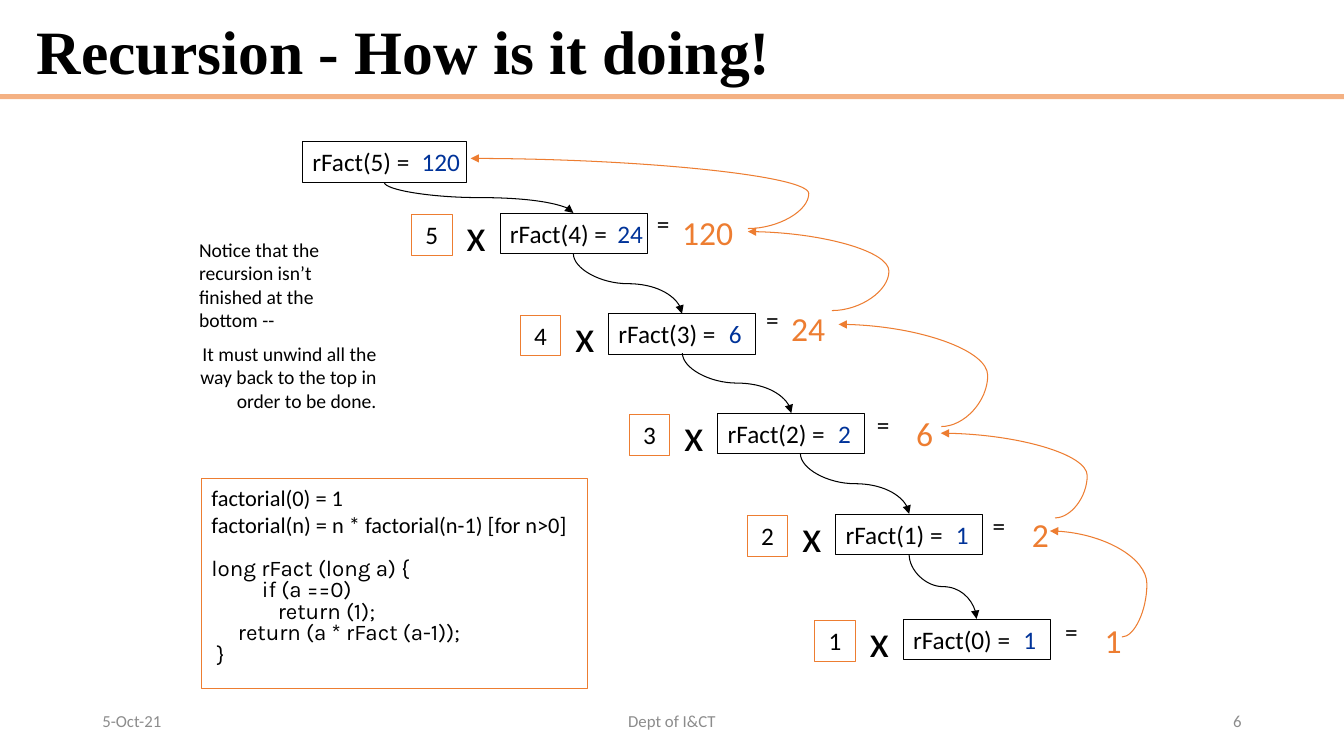
"""Build the slide that traces a recursive factorial down and back up."""
from collections import namedtuple
from dataclasses import dataclass

from lxml import etree
from pptx import Presentation
from pptx import util as u
from pptx.dml.color import RGBColor
from pptx.enum import shapes, text
from pptx.oxml.ns import qn

LEFT, CENTER, RIGHT = text.PP_ALIGN.LEFT, text.PP_ALIGN.CENTER, text.PP_ALIGN.RIGHT
TOP, MIDDLE = text.MSO_ANCHOR.TOP, text.MSO_ANCHOR.MIDDLE


@dataclass(frozen=True)
class Theme:
    ink: str = "000000"
    accent: str = "ED7D31"
    rule: str = "F4B183"
    value: str = "003399"
    muted: str = "8C8C8C"
    body_font: str = "Calibri"
    code_font: str = "Karla"
    title_font: str = "Times New Roman"
    title: float = 44
    times: float = 32
    result: float = 24
    label: float = 18
    code: float = 16
    note: float = 14
    footer: float = 12
    thin: float = 0.5
    line: float = 0.75


Call = namedtuple(
    "Call", "n factor value result left top equals_left equals_top result_left result_width")

CALLS = [
    Call(4, "5", "24", "120", 357.1, 152.1, 462.2, 144.9, 480.2, 54),
    Call(3, "4", "6", "24", 434.7, 224.1, 540.2, 213.8, 558, 41),
    Call(2, "3", "2", "6", 512.7, 295.1, 619.2, 288.7, 647.3, 31),
    Call(1, "2", "1", "2", 596.9, 367.1, 702, 360.7, 730.1, 31),
    Call(0, "1", "1", "1", 645.1, 442.1, 753.8, 436.5, 781.9, 31),
]
DESCENT_STARTS = [(274.5, 130.2), (409.6, 181.2), (487.4, 252.2), (571.7, 324), (649.4, 396)]
RETURNS = [
    (534.2, 163.3, 336.2, 113.2, 577.7),
    (594.2, 221.9, 534.2, 165.5, 635),
    (672.4, 304.7, 599, 231.7, 705.6),
    (753.6, 370, 672, 309.5, 776.6),
    (801.4, 455, 750, 379.3, 819.3),
]
FORMULAS = ["factorial(0) = 1", "factorial(n) = n * factorial(n-1) [for n>0]"]
CODE = [
    "long rFact (long a) {",
    "\tif (a ==0)",
    "\t   return (1);",
    "     return (a * rFact (a-1));",
    " }",
]
NOTES = [
    "Notice that the recursion isn’t finished at the bottom --",
    "It must unwind all the way back to the top in order to be done.",
]


class Page:
    """Draw styled elements on one slide, with lengths in points."""

    def __init__(self, slide, theme):
        self.shapes = slide.shapes
        self.theme = theme

    def fill_text(self, box, lines, size, color, align=LEFT, anchor=TOP, font=None, bold=False):
        frame = box.text_frame
        frame.word_wrap = True
        frame.vertical_anchor = anchor
        frame.text = "\n".join(lines)
        for para in frame.paragraphs:
            para.alignment = align
            for span in para.runs:
                span.font.size = u.Pt(size)
                span.font.name = font or self.theme.body_font
                span.font.bold = bold
                span.font.color.rgb = RGBColor.from_string(color)
        return frame.paragraphs

    def label(self, place, words, size, color, **style):
        box = self.shapes.add_textbox(*map(u.Pt, place))
        return self.fill_text(box, [words], size, color, **style)

    def bar(self, place, color):
        bar = self.shapes.add_shape(shapes.MSO_SHAPE.RECTANGLE, *map(u.Pt, place))
        bar.shadow.inherit = False
        bar.fill.solid()
        bar.fill.fore_color.rgb = RGBColor.from_string(color)
        bar.line.fill.background()

    def frame(self, place, lines, size, outline, width, align=LEFT):
        box = self.shapes.add_shape(shapes.MSO_SHAPE.RECTANGLE, *map(u.Pt, place))
        box.shadow.inherit = False
        box.fill.background()
        box.line.color.rgb = RGBColor.from_string(outline)
        box.line.width = u.Pt(width)
        return self.fill_text(box, lines, size, self.theme.ink, align)

    def curve(self, start, end, color, bend):
        arrow = self.shapes.add_connector(
            shapes.MSO_CONNECTOR.CURVE, *map(u.Pt, (*start, *end)))
        arrow.line.color.rgb = RGBColor.from_string(color)
        arrow.line.width = u.Pt(self.theme.line)
        properties = arrow._element.spPr
        etree.SubElement(properties.find(qn("a:ln")), qn("a:tailEnd"), type="triangle")
        etree.SubElement(properties, qn("a:effectLst"))
        guides = properties.find(qn("a:prstGeom")).find(qn("a:avLst"))
        etree.SubElement(guides, qn("a:gd"), name="adj1", fmla=f"val {round(bend * 100000)}")
        return properties.find(qn("a:xfrm"))

    def descent(self, start, end):
        middle_x, middle_y = (start[0] + end[0]) / 2, (start[1] + end[1]) / 2
        half_run, half_drop = (end[0] - start[0]) / 2, (end[1] - start[1]) / 2
        transform = self.curve(
            (middle_x + half_drop, middle_y - half_run),
            (middle_x - half_drop, middle_y + half_run), self.theme.ink, 0.5)
        transform.set("rot", str(270 * 60000))

    def climb(self, start_x, start_y, end_x, end_y, bulge):
        bend = (start_x - bulge) / (start_x - end_x)
        self.curve((start_x, start_y), (end_x, end_y), self.theme.accent, bend)

    def call(self, call):
        theme, left, top = self.theme, call.left, call.top
        self.frame((left, top, 105.1, 29), [f"rFact({call.n}) ="],
                   theme.label, theme.ink, theme.thin)
        self.frame((left - 63.2, top + 1, 29, 29), [call.factor],
                   theme.label, theme.accent, theme.thin, CENTER)
        self.label((left - 31, top - 8.2, 28.3, 46), "x", theme.times, theme.ink)
        self.label((left + 76, top, 34 if len(call.value) > 1 else 29, 29), call.value,
                   theme.label, theme.value, align=CENTER)
        self.label((call.equals_left, call.equals_top, 28, 29), "=", theme.label, theme.ink)
        self.label((call.result_left, call.equals_top + 2.9, call.result_width, 36.4),
                   call.result, theme.result, theme.accent)

    def definition(self):
        theme = self.theme
        paras = self.frame((144, 342, 275.8, 149.8), FORMULAS + CODE,
                           theme.code, theme.accent, theme.line)
        code_paras = paras[len(FORMULAS):]
        for para in code_paras:
            para.line_spacing = 0.8
            for span in para.runs:
                span.font.name = theme.code_font
        code_paras[0].space_before = u.Pt(15.5)

    def notes(self):
        box = self.shapes.add_textbox(*map(u.Pt, (135.1, 166.3, 141, 134.6)))
        paras = self.fill_text(box, NOTES, self.theme.note, self.theme.ink)
        paras[1].alignment = RIGHT
        paras[1].space_before = u.Pt(7)


def main():
    theme = Theme()
    deck = Presentation()
    deck.slide_width, deck.slide_height = u.Pt(960), u.Pt(540)
    page = Page(deck.slides.add_slide(deck.slide_layouts[6]), theme)

    page.bar((0, 67.2, 960, 3.6), theme.rule)
    title = page.label((19.2, 10.6, 875, 56.6), "Recursion - How is it doing!", theme.title,
                       theme.ink, anchor=MIDDLE, font=theme.title_font, bold=True)
    title[0].line_spacing = 0.9
    for left, width, words, align in [
        (66, 216, "5-Oct-21", LEFT),
        (318, 324, "Dept of I&CT", CENTER),
        (678, 216, "6", RIGHT),
    ]:
        page.label((left, 500.5, width, 28.8), words, theme.footer, theme.muted,
                   align=align, anchor=MIDDLE)

    page.definition()
    page.notes()
    page.frame((216, 101, 117, 29), ["rFact(5) ="], theme.label, theme.ink, theme.thin)
    page.label((293.3, 101, 43, 29), "120", theme.label, theme.value, align=CENTER)
    for call, start in zip(CALLS, DESCENT_STARTS):
        page.call(call)
        page.descent(start, (call.left + 52.5, call.top))
    for climb in RETURNS:
        page.climb(*climb)
    deck.save("out.pptx")


if __name__ == "__main__":
    main()
